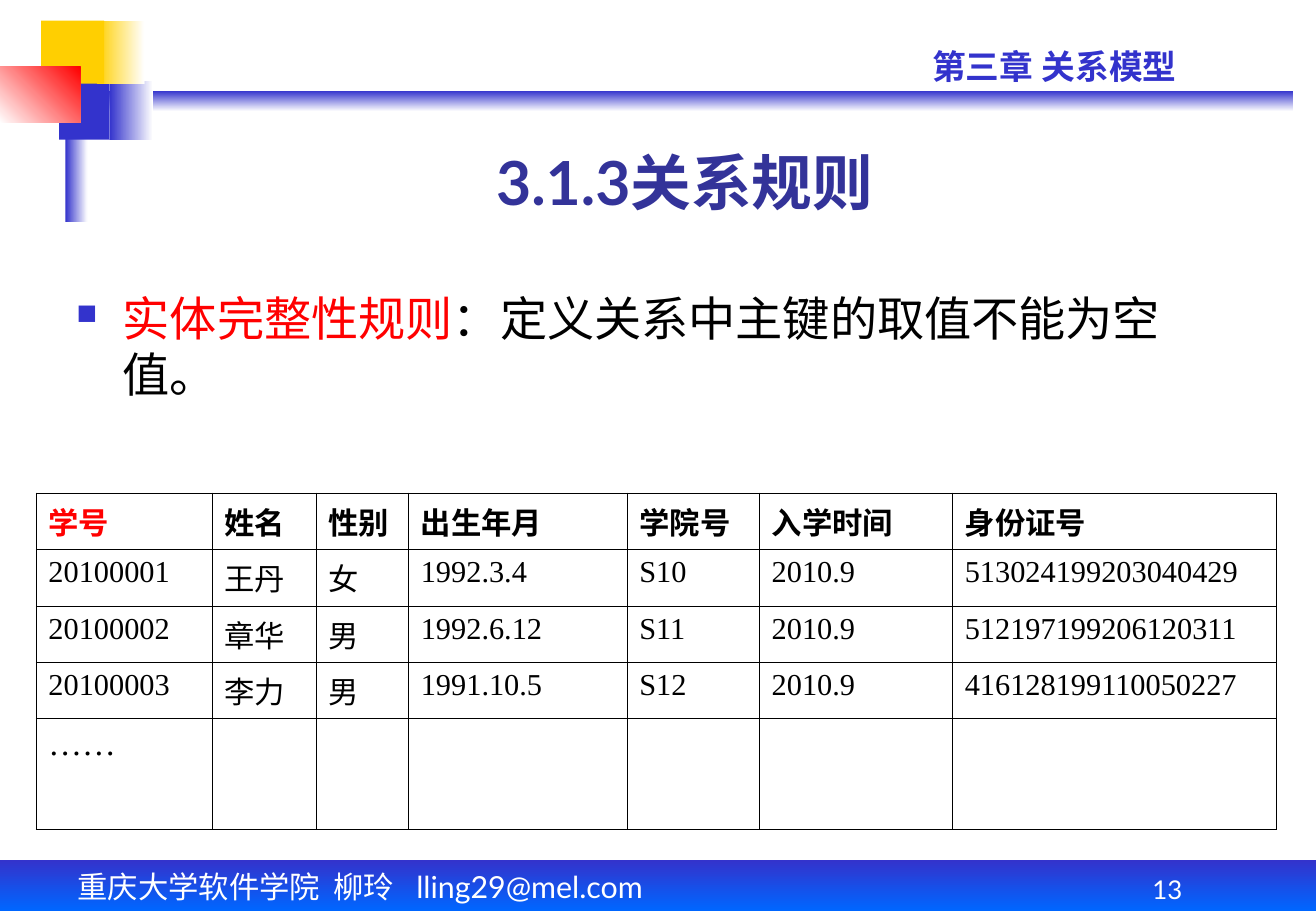
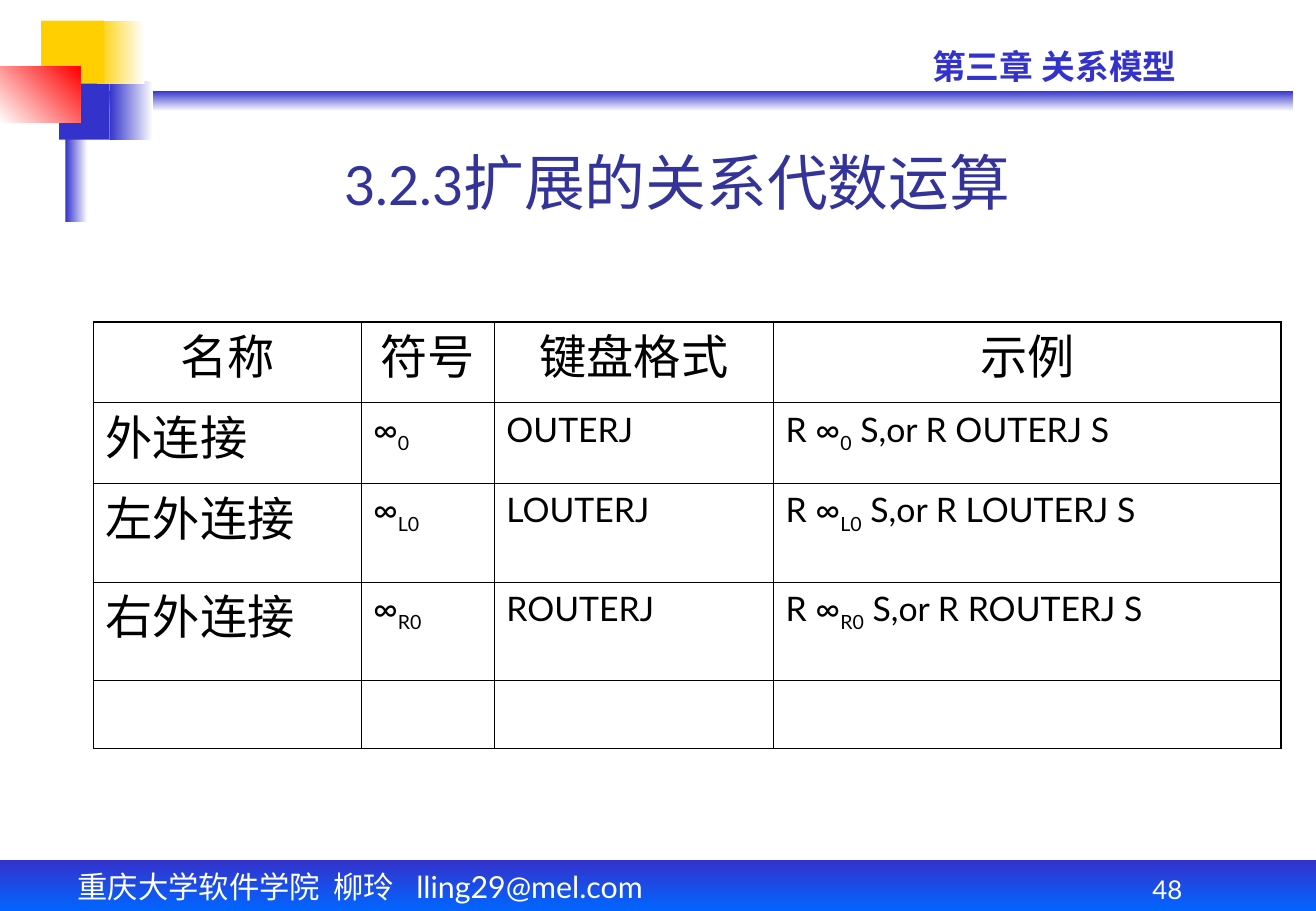
from lxml import etree
from pptx import Presentation
from pptx.dml.color import RGBColor
from pptx.enum.shapes import MSO_SHAPE
from pptx.enum.text import MSO_ANCHOR, PP_ALIGN
from pptx.oxml.ns import qn
from pptx.util import Cm, Pt

RECTANGLE = MSO_SHAPE.RECTANGLE
TOP, BOTTOM = MSO_ANCHOR.TOP, MSO_ANCHOR.BOTTOM
LEFT, CENTER = PP_ALIGN.LEFT, PP_ALIGN.CENTER

BLUE = RGBColor(0x33, 0x33, 0xCC)
BRIGHT_BLUE = RGBColor(0x00, 0x66, 0xFF)
TITLE_BLUE = RGBColor(0x33, 0x33, 0x99)
YELLOW = RGBColor(0xFF, 0xCF, 0x01)
RED = RGBColor(0xFF, 0x00, 0x00)
WHITE = RGBColor(0xFF, 0xFF, 0xFF)
BLACK = RGBColor(0x00, 0x00, 0x00)

SANS, CHINESE, SERIF = "Lato", "Noto Sans CJK SC", "Times New Roman"
FOOTER = {"color": WHITE, "size": Pt(18), "name": SANS}
PAGE = {**FOOTER, "size": Pt(15.3)}
CHAPTER = {"color": BLUE, "size": Pt(20), "name": SANS, "bold": True}
TITLE = {"color": TITLE_BLUE, "size": Pt(36), "name": SANS}
BODY = {"color": BLACK, "size": Pt(28), "name": SANS}
SYMBOL = {**BODY, "size": Pt(20)}
SUBSCRIPT = {**SYMBOL, "baseline": "-25000"}
NAME = {"color": BLACK, "size": Pt(18), "name": CHINESE}
HEADING = {**NAME, "bold": True}
VALUE = {**NAME, "name": SERIF}

BANDS = [
    (1.6, 1.9, 25.45, 0.43, BLUE, WHITE, 270),
    (2.29, 1.7, 0.91, 1.22, BLUE, WHITE, 0),
    (0, 17.98, 27.53, 1.07, BLUE, BRIGHT_BLUE, 270),
    (1.37, 1.47, 0.46, 3.18, BLUE, WHITE, 0),
    (1.24, 1.7, 1.04, 1.22, BLUE, None, 0),
    (2.03, 0.43, 0.99, 1.32, YELLOW, WHITE, 0),
    (0.86, 0.43, 1.32, 1.32, YELLOW, None, 0),
    (0, 1.4, 1.68, 1.17, WHITE, RED, 45),
]

PAGES = [
    {
        "number": "13",
        "title": [("3.1.3关系规则", {**TITLE, "bold": True})],
        "rule": [("实体完整性规则", {**BODY, "color": RED}),
                 ("：定义关系中主键的取值不能为空值。", BODY)],
    },
    {
        "number": "48",
        "title": [("3.2.3", {**TITLE, "size": Pt(32)}), ("扩展的关系代数运算 ", TITLE)],
    },
]


def write(paragraph, runs):
    for text, style in runs:
        run = paragraph.add_run()
        run.text = text
        for key, value in style.items():
            if key == "color":
                run.font.color.rgb = value
            elif key == "baseline":
                run.font._element.set(key, value)
            else:
                setattr(run.font, key, value)
        etree.SubElement(run.font._element, qn("a:ea"), typeface=style["name"])


def add_grid(slide, left, top, widths, heights, rows, edge):
    grid = slide.shapes.add_table(len(heights), len(widths), Cm(left), Cm(top),
                                  Cm(sum(widths)), Cm(sum(heights))).table
    grid.first_row = grid.horz_banding = False
    for column, width in zip(grid.columns, widths):
        column.width = Cm(width)
    for row, height in zip(grid.rows, heights):
        row.height = Cm(height)
    for r in range(len(heights)):
        for c in range(len(widths)):
            cell = grid.cell(r, c)
            sides = {"L": c == 0, "R": c == len(widths) - 1,
                     "T": r == 0, "B": r == len(heights) - 1}
            for side, outer in sides.items():
                line = etree.SubElement(cell._tc.get_or_add_tcPr(), qn(f"a:ln{side}"),
                                        w=str(Pt(edge if outer else 0.45)))
                paint = etree.SubElement(line, qn("a:solidFill"))
                etree.SubElement(paint, qn("a:srgbClr"), val=str(BLACK))
            cell.fill.background()
            if r < len(rows) and c < len(rows[r]):
                write(cell.text_frame.paragraphs[0], rows[r][c])
    return grid


deck = Presentation()
deck.slide_width, deck.slide_height = Cm(27.53), Cm(19.05)
slides = []

for page in PAGES:
    slide = deck.slides.add_slide(deck.slide_layouts[6])
    slides.append(slide)
    for left, top, width, height, start, end, angle in BANDS:
        band = slide.shapes.add_shape(RECTANGLE, Cm(left), Cm(top), Cm(width), Cm(height))
        band.shadow.inherit = False
        band.line.fill.background()
        if end is None:
            band.fill.solid()
            band.fill.fore_color.rgb = start
        else:
            band.fill.gradient()
            band.fill.gradient_angle = angle
            for stop, color in zip(band.fill.gradient_stops, (start, end)):
                stop.color.rgb = color

    texts = [
        (1.37, 18.03, 15.37, 1.02, TOP, LEFT,
         [("重庆大学软件学院\t柳玲\tlling29@mel.com", FOOTER)]),
        (19.25, 0.84, 7.8, 1.12, TOP, LEFT, [("第三章 关系模型", CHAPTER)]),
        (22.25, 17.98, 4.34, 1.07, BOTTOM, CENTER, [(page["number"], PAGE)]),
        (3.43, 2.97, 21.79, 1.7, BOTTOM, CENTER, page["title"]),
    ]
    if "rule" in page:
        texts.append((1.35, 5.92, 23.62, 2.84, TOP, LEFT, page["rule"]))
    for left, top, width, height, anchor, alignment, runs in texts:
        frame = slide.shapes.add_textbox(Cm(left), Cm(top), Cm(width), Cm(height)).text_frame
        frame.word_wrap = True
        frame.vertical_anchor = anchor
        paragraph = frame.paragraphs[0]
        properties = paragraph._p.get_or_add_pPr()
        if "\t" in runs[0][0]:
            stops = etree.SubElement(properties, qn("a:tabLst"))
            for position in (5.36, 7.09):
                etree.SubElement(stops, qn("a:tab"), pos=str(Cm(position)), algn="l")
        if runs is page.get("rule"):
            properties.set("marL", str(Cm(0.97)))
            properties.set("indent", str(Cm(-0.97)))
            bullet_color = etree.SubElement(properties, qn("a:buClr"))
            etree.SubElement(bullet_color, qn("a:srgbClr"), val=str(BLUE))
            etree.SubElement(properties, qn("a:buSzPct"), val="60000")
            etree.SubElement(properties, qn("a:buChar"), char="■")
        paragraph.alignment = alignment
        write(paragraph, runs)

integrity_slide, join_slide = slides

fields = ["学号", "姓名", "性别", "出生年月", "学院号", "入学时间", "身份证号"]
students = [
    ["20100001", "王丹", "女", "1992.3.4", "S10", "2010.9", "513024199203040429"],
    ["20100002", "章华", "男", "1992.6.12", "S11", "2010.9", "512197199206120311"],
    ["20100003", "李力", "男", "1991.10.5", "S12", "2010.9", "416128199110050227"],
]
student_rows = [[[(field, {**HEADING, "color": BLACK if i else RED})]
                 for i, field in enumerate(fields)]]
for student in students:
    student_rows.append([[(text, NAME if i in (1, 2) else VALUE)]
                         for i, text in enumerate(student)])
student_rows.append([[("……", {**VALUE, "size": Pt(20)})]])
add_grid(integrity_slide, 0.76, 10.31, [3.68, 2.18, 1.93, 4.57, 2.77, 4.04, 6.76],
         [1.18] * 4 + [2.31], student_rows, 0.45)

joins = [("外连接", "0", "OUTERJ"), ("左外连接", "L0", "LOUTERJ"), ("右外连接", "R0", "ROUTERJ")]
join_rows = [[[(heading, BODY)] for heading in ("名称", "符号", "键盘格式", "示例")]]
for join, index, keyword in joins:
    join_rows.append([
        [(join, BODY)],
        [("∞", SYMBOL), (index, SUBSCRIPT)],
        [(keyword, SYMBOL)],
        [("R ∞", SYMBOL), (index, SUBSCRIPT), (f" S,or R {keyword} S", SYMBOL)],
    ])
join_grid = add_grid(join_slide, 1.96, 6.73, [5.59, 2.79, 5.84, 10.62],
                     [1.69, 1.69, 2.06, 2.06, 1.42], join_rows, 1.08)
for heading_cell in join_grid.rows[0].cells:
    heading_cell.text_frame.paragraphs[0].alignment = CENTER

deck.save("out.pptx")
